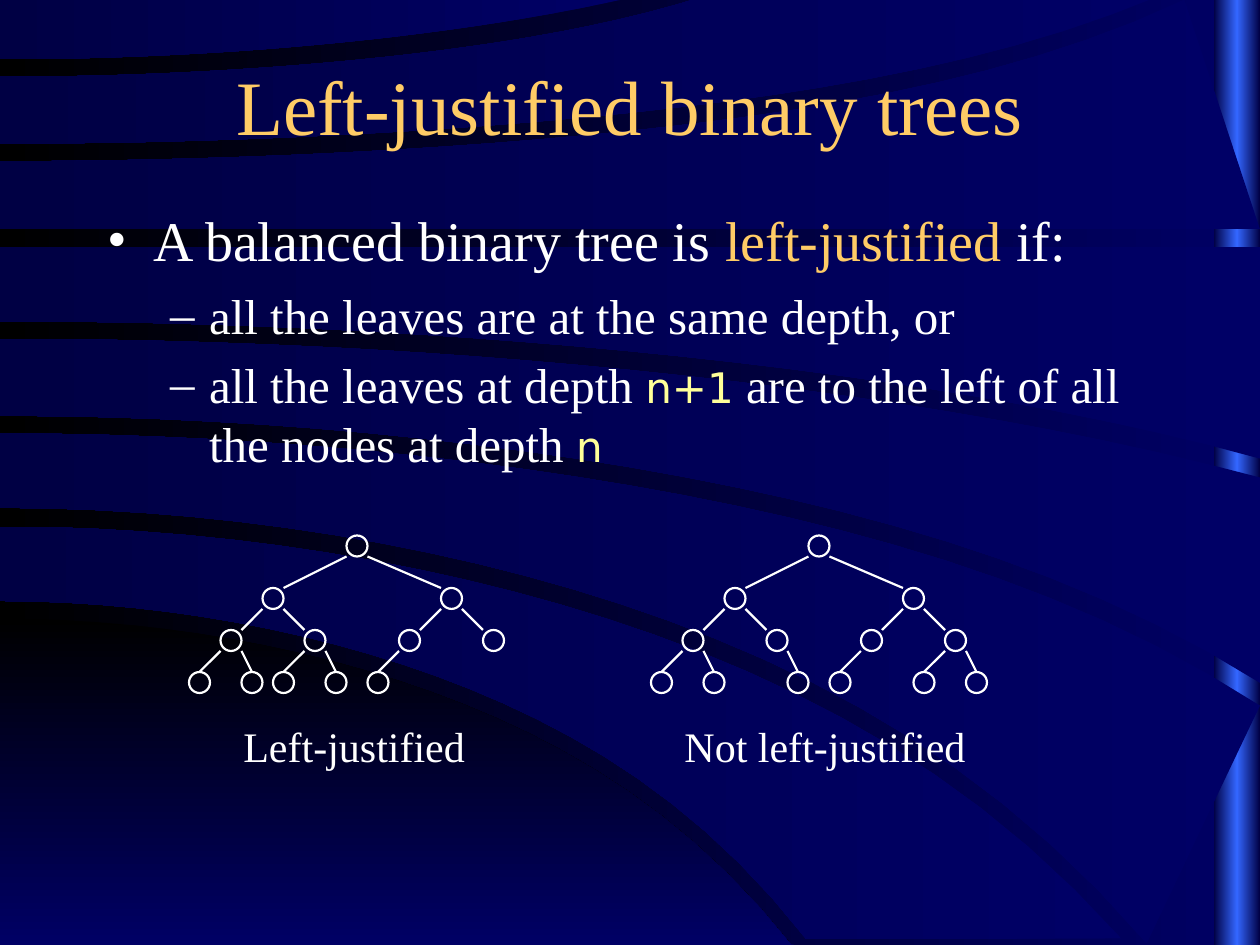
import copy
import dataclasses

import pptx
import pptx.dml.color
import pptx.enum.shapes
import pptx.enum.text
import pptx.oxml
import pptx.oxml.ns
import pptx.util

COLORS = {"white": "FFFFFF", "gold": "FFCC66", "yellow": "FFFF99", "navy": "000066",
          "dark": "000044", "black": "000000", "blue": "3366FF"}
SERIF, SANS = "Times New Roman", "DejaVu Sans"
COLUMNS, ROWS, CELLS_PER_INCH = 120, 90, 12
SLIDE_WIDTH = COLUMNS / CELLS_PER_INCH
CURVE_STEPS = 24


@dataclasses.dataclass
class Edge:
    """A curve in inches that starts level at the left and bends away as it nears its reach."""

    start: float
    bend: float = 0
    hook: float = 0
    reach: float = 1

    def points(self):
        """Return points at equal steps, the reach being a share of the slide's width."""
        shares = [self.reach * step / CURVE_STEPS for step in range(CURVE_STEPS + 1)]
        return [(share * SLIDE_WIDTH, self.start + self.bend * share ** 2 + self.hook * share ** 6)
                for share in shares]


HILL = (Edge(4.91, 4.82, 11.2, 0.63), Edge(7.5, reach=0.63))
BANDS = [
    (Edge(4.18, 3.06, 1.7, 0.89), Edge(4.77, 4.82, 10.35, 0.64)),
    (Edge(3.44, 1.62, 0.54), Edge(4.03, 3.05, 1.64, 0.91)),
    (Edge(2.69, 0.98, 0.12), Edge(3.3, 1.6, 0.52)),
    (Edge(1.96), Edge(2.55, 0.94, 0.15)),
    (Edge(1.28, -0.92, -0.68, 0.94), Edge(1.82)),
    (Edge(0.61, -1.65, -4.07, 0.56), Edge(1.14, -0.94, -0.62, 0.92)),
    (Edge(0, reach=0.5), Edge(0.47, -1.8, -2.38, 0.5)),
]

ROOT_COLUMN = 15
CHILD_STEPS = [(-8, 9), (-4, 4), (-3, 2)]
LEVEL_ROWS = [51, 56, 60, 64]
LEAF_LEVEL = len(LEVEL_ROWS) - 1
NODE_SIZE = 2
TREES = [
    {"column": 18, "missing": {13, 14, 15},
     "caption": "Left-justified", "caption_box": (22, 68, 25, 6)},
    {"column": 62, "missing": {10, 13},
     "caption": "Not left-justified", "caption_box": (64, 68, 32, 6)},
]

PLAIN = {"size": 28, "name": SERIF, "color": "white"}
LEAD = {**PLAIN, "size": 32}
TITLE = {"size": 44, "name": SERIF, "color": "gold"}
CAPTION = {**PLAIN, "size": 24}
CODE = {"size": 24, "name": SANS, "color": "yellow"}
OUTER = {"level": 0, "left": 0.37, "hanging": 0.37, "mark": "•"}
INNER = {"level": 1, "left": 0.81, "hanging": 0.31, "mark": "–"}
BODY = [
    (OUTER, 8, [("A balanced binary tree is ", LEAD),
                ("left-justified", {**LEAD, "color": "gold"}), (" if:", LEAD)]),
    (INNER, 7, [("all the leaves are at the same depth, or", PLAIN)]),
    (INNER, 6, [("all the leaves at depth ", PLAIN), ("n+1", CODE),
                (" are to the left of all the nodes at depth ", PLAIN), ("n", CODE)]),
]


def grid(*cells):
    """Turn counts of grid cells into lengths."""
    return [pptx.util.Inches(cell / CELLS_PER_INCH) for cell in cells]


def rgb(name):
    """Return a named colour."""
    return pptx.dml.color.RGBColor.from_string(COLORS[name])


def paint_gradient(fill, element, names, angle):
    """Fill with evenly spaced colours along an anticlockwise angle."""
    fill.gradient()
    fill.gradient_angle = angle
    stop_list = element.find(".//" + pptx.oxml.ns.qn("a:gsLst"))
    while len(stop_list) < len(names):
        stop_list.append(copy.deepcopy(stop_list[0]))
    for index, (stop, name) in enumerate(zip(fill.gradient_stops, names)):
        stop.color.rgb = rgb(name)
        stop.position = index / (len(names) - 1)


def finish_backdrop(shape, names, angle):
    """Give a backdrop shape its gradient and no outline."""
    paint_gradient(shape.fill, shape.element, names, angle)
    shape.line.fill.background()
    shape.shadow.inherit = False


def add_band(page, edges, names, angle):
    """Fill the area between an upper and a lower edge."""
    upper, lower = edges
    outline = [grid(x * CELLS_PER_INCH, y * CELLS_PER_INCH)
               for x, y in upper.points() + lower.points()[::-1]]
    builder = page.shapes.build_freeform(*outline[0])
    builder.add_line_segments(outline[1:], close=True)
    finish_backdrop(builder.convert_to_shape(), names, angle)


def add_backdrop(page):
    """Paint the background with its side strip, hill and curved bands."""
    paint_gradient(page.background.fill, page.element, ["navy", "black"], 180)
    strip = page.shapes.add_shape(pptx.enum.shapes.MSO_SHAPE.RECTANGLE,
                                  *grid(COLUMNS - 4.4, 0, 4.4, ROWS))
    finish_backdrop(strip, ["dark", "blue", "dark"], 180)
    add_band(page, HILL, ["black", "navy"], 270)
    for edges in BANDS:
        add_band(page, edges, ["navy", "dark"], 180)


def add_span(para, text, style):
    """Add a formatted run of text."""
    span = para.add_run()
    span.text = text
    values = {"size": pptx.util.Pt(style["size"]), "name": style["name"]}
    for key, value in values.items():
        setattr(span.font, key, value)
    span.font.color.rgb = rgb(style["color"])


def place(shape, cells):
    """Move a placeholder to its grid cells, in front of the backdrop."""
    for key, value in zip(("left", "top", "width", "height"), grid(*cells)):
        setattr(shape, key, value)
    shape.text_frame.auto_size = pptx.enum.text.MSO_AUTO_SIZE.NONE
    shape.element.getparent().append(shape.element)


def set_bullet(para, item):
    """Set the indents and the bullet of a paragraph."""
    properties = para._p.get_or_add_pPr()
    properties.set("marL", str(pptx.util.Inches(item["left"])))
    properties.set("indent", str(-pptx.util.Inches(item["hanging"])))
    space = pptx.oxml.ns.nsdecls("a")
    for xml in (f'<a:buClr {space}><a:srgbClr val="{COLORS["white"]}"/></a:buClr>',
                f'<a:buFont {space} typeface="{SERIF}"/>',
                f'<a:buChar {space} char="{item["mark"]}"/>'):
        properties.append(pptx.oxml.parse_xml(xml))


def fill_body(frame):
    """Write the bulleted definition."""
    for index, (item, gap, spans) in enumerate(BODY):
        para = frame.add_paragraph() if index else frame.paragraphs[0]
        para.level = item["level"]
        para.space_before = pptx.util.Pt(gap)
        set_bullet(para, item)
        for text, style in spans:
            add_span(para, text, style)


def add_caption(group, text, cells):
    """Add the label below a tree."""
    box = group.shapes.add_textbox(*grid(*cells))
    box.text_frame.word_wrap = True
    box.text_frame.auto_size = pptx.enum.text.MSO_AUTO_SIZE.SHAPE_TO_FIT_TEXT
    para = box.text_frame.paragraphs[0]
    para.space_before = pptx.util.Pt(15)
    add_span(para, text, CAPTION)


def style_line(line):
    """Make an outline thin and white."""
    line.color.rgb = rgb("white")
    line.width = pptx.util.Pt(1.25)


def add_node(group, column, row):
    """Add a hollow circle."""
    node = group.shapes.add_shape(pptx.enum.shapes.MSO_SHAPE.OVAL,
                                  *grid(column, row, NODE_SIZE, NODE_SIZE))
    node.fill.background()
    node.shadow.inherit = False
    style_line(node.line)
    return node


def add_edge(group, child, parent, is_right, is_leaf):
    """Join a child to the lower corner of its parent."""
    start = child.left if is_right else child.left + child.width
    end = parent.left + parent.width if is_right else parent.left
    edge = group.shapes.add_connector(pptx.enum.shapes.MSO_CONNECTOR.STRAIGHT,
                                      start, child.top, end, parent.top + parent.height)
    if is_leaf:
        edge.begin_connect(child, 0)
    style_line(edge.line)
    edge.element.spPr.append(pptx.oxml.parse_xml(f'<a:effectLst {pptx.oxml.ns.nsdecls("a")}/>'))


def add_tree(page, tree):
    """Draw a tree numbered level by level, where the children of n are 2n and 2n + 1."""
    group = page.shapes.add_group_shape()
    add_caption(group, tree["caption"], tree["caption_box"])
    columns, nodes = {1: tree["column"] + ROOT_COLUMN}, {}
    for number in range(1, 2 ** len(LEVEL_ROWS)):
        if number in tree["missing"]:
            continue
        level = number.bit_length() - 1
        parent, side = divmod(number, 2)
        if parent:
            columns[number] = columns[parent] + CHILD_STEPS[level - 1][side]
        nodes[number] = add_node(group, columns[number], LEVEL_ROWS[level])
        if parent:
            add_edge(group, nodes[number], nodes[parent], side == 1, level == LEAF_LEVEL)


def main():
    """Build and save the deck."""
    deck = pptx.Presentation()
    deck.slide_width, deck.slide_height = grid(COLUMNS, ROWS)
    page = deck.slides.add_slide(deck.slide_layouts[1])
    add_backdrop(page)
    title, body = page.shapes.title, page.placeholders[1]
    place(title, (4, 5, 112, 10))
    add_span(title.text_frame.paragraphs[0], "Left-justified binary trees", TITLE)
    place(body, (9, 19, 102, 29))
    fill_body(body.text_frame)
    for tree in TREES:
        add_tree(page, tree)
    deck.save("out.pptx")


if __name__ == "__main__":
    main()
